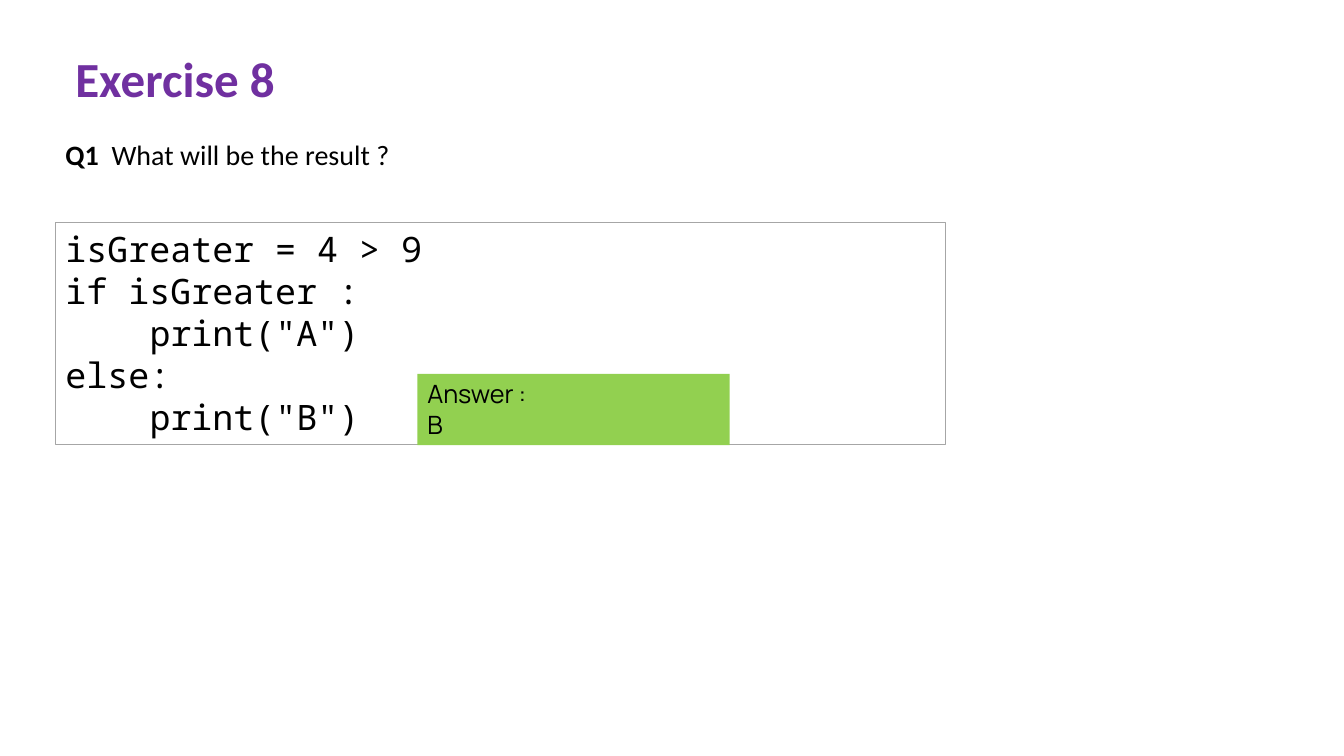
from dataclasses import dataclass
from typing import Optional

from pptx import Presentation
from pptx.dml.color import RGBColor
from pptx.enum.shapes import MSO_SHAPE
from pptx.enum.text import MSO_ANCHOR, MSO_AUTO_SIZE, PP_ALIGN
from pptx.slide import Slide
from pptx.util import Cm, Pt

BLACK = RGBColor(0x00, 0x00, 0x00)
PURPLE = RGBColor(0x70, 0x30, 0xA0)
GREEN = RGBColor(0x92, 0xD0, 0x50)
GREY = RGBColor(0xA6, 0xA6, 0xA6)
CODE_INDENT = Cm(2.12)


@dataclass(frozen=True)
class Span:
    text: str
    bold: bool = False


@dataclass(frozen=True)
class Line:
    spans: tuple[Span, ...]
    level: int = 0


@dataclass(frozen=True)
class Block:
    left: float
    top: float
    width: float
    height: float
    lines: tuple[Line, ...]
    font: str
    size: int
    color: RGBColor = BLACK
    wrap: bool = True
    framed: bool = False
    fill: Optional[RGBColor] = None
    outline: Optional[RGBColor] = None


def plain(text: str, level: int = 0) -> Line:
    return Line((Span(text),), level)


BLOCKS = (
    Block(1.4, 3.35, 8.76, 1.11,
          (Line((Span("Q1 ", bold=True), Span(" What will be the result ?"))),),
          "Calibri", 20, wrap=False),
    Block(1.4, 5.61, 22.43, 5.59,
          (plain("isGreater = 4 > 9"),
           plain("if isGreater :"),
           plain('print("A")', level=1),
           plain("else:"),
           plain('print("B")', level=1)),
          "Noto Sans Mono", 25, framed=True, outline=GREY),
    Block(1.65, 1.09, 5.59, 1.75,
          (Line((Span("Exercise 8", bold=True),)),),
          "Calibri", 35, color=PURPLE, wrap=False),
    Block(10.52, 9.42, 7.87, 1.8,
          (plain("Answer :"), plain("B")),
          "Manrope", 18, framed=True, fill=GREEN),
)


def add_span(para, text: str, *, font: str, size: int, color: RGBColor,
             bold: bool) -> None:
    span = para.add_run()
    span.text = text
    span.font.name = font
    span.font.size = Pt(size)
    span.font.color.rgb = color
    span.font.bold = bold


def add_block(page: Slide, block: Block) -> None:
    place = Cm(block.left), Cm(block.top), Cm(block.width), Cm(block.height)
    if block.framed:
        box = page.shapes.add_shape(MSO_SHAPE.RECTANGLE, *place)
        box.shadow.inherit = False
    else:
        box = page.shapes.add_textbox(*place)
    if block.fill is not None:
        box.fill.solid()
        box.fill.fore_color.rgb = block.fill
    else:
        box.fill.background()
    if block.outline is not None:
        box.line.color.rgb = block.outline
        box.line.width = Pt(0.75)
    else:
        box.line.fill.background()

    frame = box.text_frame
    frame.word_wrap = block.wrap
    frame.auto_size = MSO_AUTO_SIZE.SHAPE_TO_FIT_TEXT
    frame.vertical_anchor = MSO_ANCHOR.TOP
    for number, line in enumerate(block.lines):
        para = frame.add_paragraph() if number else frame.paragraphs[0]
        para.alignment = PP_ALIGN.LEFT
        if line.level:
            properties = para._p.get_or_add_pPr()
            properties.set("marL", str(line.level * CODE_INDENT))
            properties.set("indent", "0")
        for span in line.spans:
            add_span(para, span.text, font=block.font, size=block.size,
                     color=block.color, bold=span.bold)


def main() -> None:
    deck = Presentation()
    deck.slide_width = Cm(33.87)
    deck.slide_height = Cm(19.05)
    page = deck.slides.add_slide(deck.slide_layouts[6])
    for block in BLOCKS:
        add_block(page, block)
    deck.save("out.pptx")


if __name__ == "__main__":
    main()
